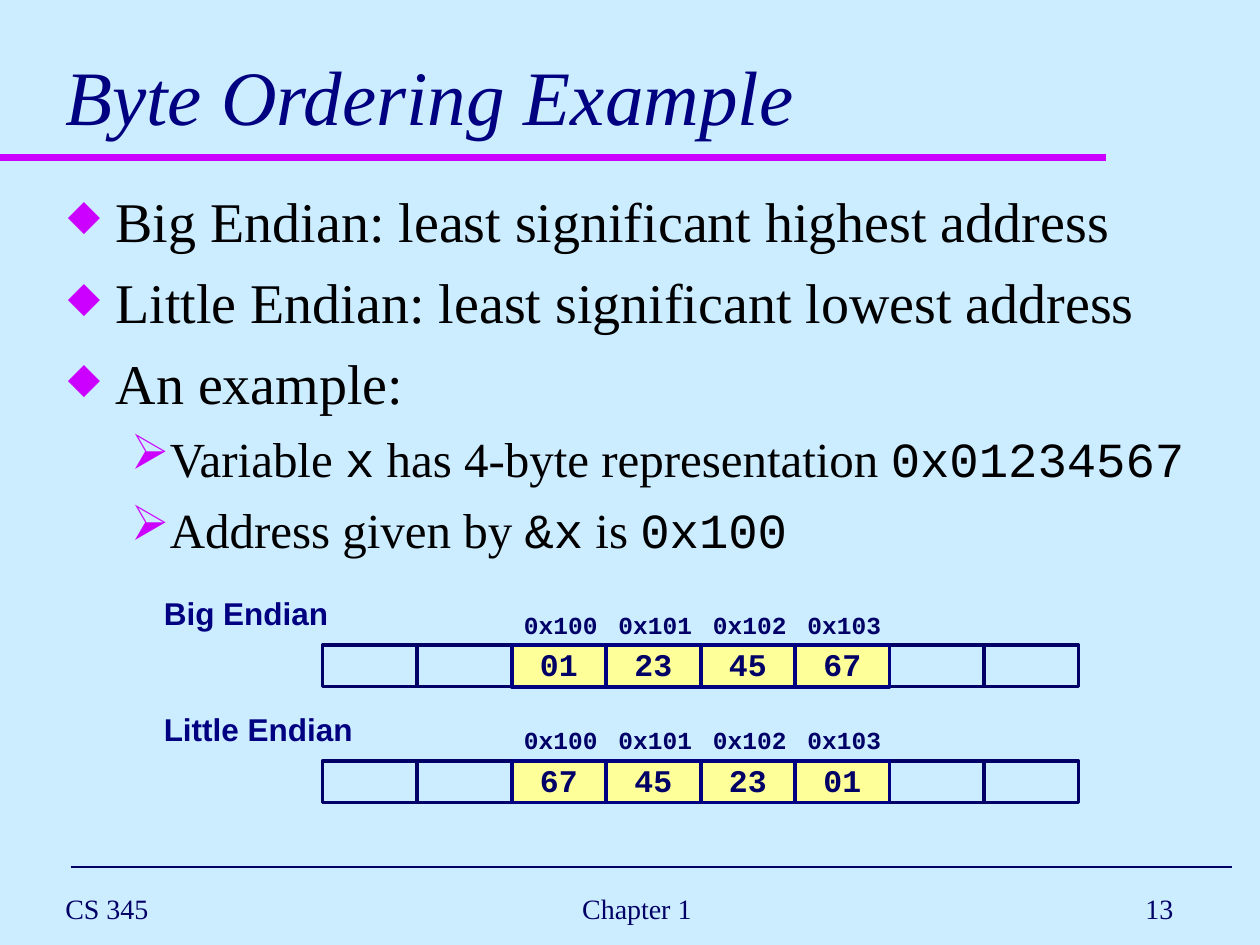
from dataclasses import dataclass

from lxml import etree
from pptx import Presentation
from pptx.dml.color import RGBColor
from pptx.enum.shapes import MSO_CONNECTOR, MSO_SHAPE
from pptx.enum.text import MSO_ANCHOR, PP_ALIGN
from pptx.oxml.ns import qn
from pptx.slide import Slide
from pptx.text.text import TextFrame
from pptx.util import Inches, Pt

LEFT, CENTER, RIGHT = PP_ALIGN.LEFT, PP_ALIGN.CENTER, PP_ALIGN.RIGHT
TOP, MIDDLE, BOTTOM = MSO_ANCHOR.TOP, MSO_ANCHOR.MIDDLE, MSO_ANCHOR.BOTTOM
RECTANGLE, STRAIGHT = MSO_SHAPE.RECTANGLE, MSO_CONNECTOR.STRAIGHT

SKY = RGBColor(0xCC, 0xEC, 0xFF)
MAGENTA = RGBColor(0xCC, 0x00, 0xFF)
NAVY = RGBColor(0x00, 0x00, 0x80)
INK = RGBColor(0x00, 0x00, 0x66)
BLACK = RGBColor(0, 0, 0)
YELLOW = RGBColor(0xFF, 0xFF, 0x99)

SERIF, SANS, MONO = "Times New Roman", "Arial", "Courier New"

# Memory grid: eight cells, of which the four from FIRST_BYTE hold the value
GRID_LEFT, CELL_WIDTH, CELL_HEIGHT = 2.56, 0.75, 0.33
CELL_COUNT, FIRST_BYTE = 8, 2
ADDRESSES = ("0x100", "0x101", "0x102", "0x103")


@dataclass(frozen=True)
class Area:
    left: float
    top: float
    width: float
    height: float

    def lengths(self) -> list[int]:
        return [Inches(v) for v in (self.left, self.top, self.width, self.height)]


@dataclass(frozen=True)
class Level:
    mark: str
    mark_percent: int
    margin: float
    hanging: float
    size: int
    space_before: int


@dataclass(frozen=True)
class Memory:
    name: str
    top: float
    values: tuple[str, ...]


POINT = Level("◆", 75, 0.38, 0.38, 32, 8)
DETAIL = Level("➢", 100, 0.81, 0.31, 28, 7)

# Every second span of a line is code
BULLETS = (
    (POINT, ("Big Endian: least significant highest address",)),
    (POINT, ("Little Endian: least significant lowest address",)),
    (POINT, ("An example:",)),
    (DETAIL, ("Variable ", "x", " has 4-byte representation ", "0x01234567")),
    (DETAIL, ("Address given by ", "&x", " is ", "0x100")),
)

MEMORIES = (
    Memory("Big Endian", 4.79, ("01", "23", "45", "67")),
    Memory("Little Endian", 5.71, ("67", "45", "23", "01")),
)

FOOTERS = (
    (Area(0.42, 7, 2.67, 0.42), "CS 345", LEFT),
    (Area(3.07, 7, 3.97, 0.42), "Chapter 1", CENTER),
    (Area(7.33, 7, 2.08, 0.42), "13", RIGHT),
)


def write(frame: TextFrame, text: str, *, size: float, font: str = SERIF,
          color: RGBColor = INK, bold: bool = False, italic: bool = False,
          align: PP_ALIGN = LEFT, anchor: MSO_ANCHOR = MIDDLE, wrap: bool = True,
          inset: tuple[float, float] = (0.1, 0.05), spacing: float = 1.0) -> None:
    frame.word_wrap, frame.vertical_anchor = wrap, anchor
    frame.margin_left = frame.margin_right = Inches(inset[0])
    frame.margin_top = frame.margin_bottom = Inches(inset[1])
    para = frame.paragraphs[0]
    para.alignment, para.line_spacing = align, spacing
    span = para.add_run()
    span.text = text
    span.font.name, span.font.size = font, Pt(size)
    span.font.bold, span.font.italic = bold, italic
    span.font.color.rgb = color


def add_text(page: Slide, area: Area, text: str, **style) -> None:
    write(page.shapes.add_textbox(*area.lengths()).text_frame, text, **style)


def add_rule(page: Slide, left: float, right: float, y: float,
             color: RGBColor, weight: float) -> None:
    rule = page.shapes.add_connector(
        STRAIGHT, Inches(left), Inches(y), Inches(right), Inches(y))
    rule.line.color.rgb, rule.line.width = color, Pt(weight)
    etree.SubElement(rule._element.spPr, qn("a:effectLst"))


def add_cell(page: Slide, column: int, top: float, *, fill: RGBColor = SKY,
             line: RGBColor | None = None, weight: float = 2,
             text: str = "", **style) -> None:
    area = Area(GRID_LEFT + column * CELL_WIDTH, top, CELL_WIDTH, CELL_HEIGHT)
    cell = page.shapes.add_shape(RECTANGLE, *area.lengths())
    cell.shadow.inherit = False
    cell.fill.solid()
    cell.fill.fore_color.rgb = fill
    if line is None:
        cell.line.fill.background()
    else:
        cell.line.color.rgb, cell.line.width = line, Pt(weight)
    if text:
        write(cell.text_frame, text, font=MONO, bold=True, wrap=False, **style)


def add_memory(page: Slide, memory: Memory) -> None:
    """Draw the addresses, the row of cells below them and the row's name."""
    row_top = memory.top + CELL_HEIGHT
    byte_columns = range(FIRST_BYTE, FIRST_BYTE + len(memory.values))
    for column, address in zip(byte_columns, ADDRESSES):
        add_cell(page, column, memory.top, text=address, size=14)
    for column in range(CELL_COUNT):
        if column not in byte_columns:
            add_cell(page, column, row_top, line=INK)
    for column, value in zip(byte_columns, memory.values):
        add_cell(page, column, row_top, fill=YELLOW, line=NAVY, weight=2.25,
                 text=value, size=18, align=CENTER, inset=(0.05, 0.05), spacing=0.9)
    add_text(page, Area(1.23, memory.top - 0.08, 1.95, 0.34), memory.name, size=18,
             font=SANS, color=NAVY, bold=True, anchor=TOP, inset=(0.07, 0.03),
             spacing=0.95)


def add_bullets(page: Slide, area: Area) -> None:
    frame = page.shapes.add_textbox(*area.lengths()).text_frame
    frame.word_wrap = True
    for index, (level, spans) in enumerate(BULLETS):
        para = frame.add_paragraph() if index else frame.paragraphs[0]
        properties = para._p.get_or_add_pPr()
        properties.set("marL", str(Inches(level.margin)))
        properties.set("indent", str(-Inches(level.hanging)))
        mark_color = etree.SubElement(properties, qn("a:buClr"))
        etree.SubElement(mark_color, qn("a:srgbClr"), val=str(MAGENTA))
        etree.SubElement(properties, qn("a:buSzPct"), val=str(level.mark_percent * 1000))
        etree.SubElement(properties, qn("a:buChar"), char=level.mark)
        para.level = 1 if level is DETAIL else 0
        para.space_before = Pt(level.space_before if index else 0)
        for position, text in enumerate(spans):
            span = para.add_run()
            span.text = text
            span.font.name = MONO if position % 2 else SERIF
            span.font.size = Pt(level.size)
            span.font.color.rgb = BLACK


def main() -> None:
    deck = Presentation()
    deck.slide_width, deck.slide_height = Inches(10), Inches(7.5)
    page = deck.slides.add_slide(deck.slide_layouts[6])
    page.background.fill.solid()
    page.background.fill.fore_color.rgb = SKY

    add_rule(page, 0, 8.78, 1.25, MAGENTA, 4)
    add_rule(page, 0.56, 9.78, 6.88, INK, 1)
    for area, text, align in FOOTERS:
        add_text(page, area, text, size=16, align=align)
    add_text(page, Area(0.42, 0.17, 9.25, 1), "Byte Ordering Example", size=44,
             color=NAVY, italic=True, anchor=BOTTOM)
    add_bullets(page, Area(0.44, 1.43, 9.14, 5.37))
    for memory in MEMORIES:
        add_memory(page, memory)
    deck.save("out.pptx")


if __name__ == "__main__":
    main()
